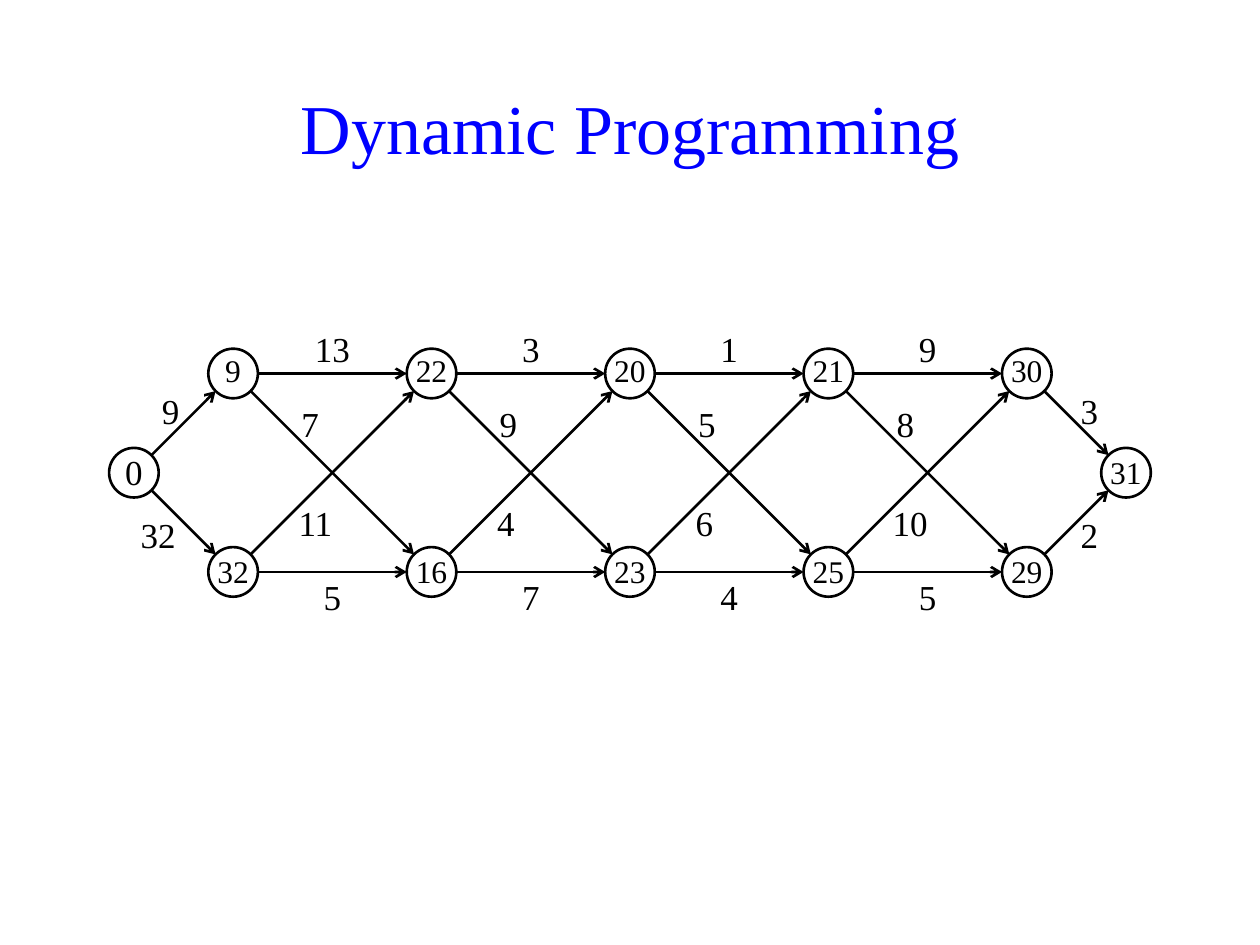
from math import hypot

from lxml.etree import SubElement
from pptx import Presentation
from pptx.dml.color import RGBColor
from pptx.enum.shapes import MSO_CONNECTOR, MSO_SHAPE
from pptx.enum.text import MSO_ANCHOR, MSO_AUTO_SIZE, PP_ALIGN
from pptx.oxml.ns import qn
from pptx.util import Cm, Pt

TITLE = "Dynamic Programming"
START, END = "0", "31"
TOP_COSTS = ["9", "22", "20", "21", "30"]
BOTTOM_COSTS = ["32", "16", "23", "25", "29"]
# Edge weights between neighbouring columns
TOP_WEIGHTS = ["13", "3", "1", "9"]
DOWN_WEIGHTS = ["7", "9", "5", "8"]
UP_WEIGHTS = ["11", "4", "6", "10"]
BOTTOM_WEIGHTS = ["5", "7", "4", "5"]
# Weights at both ends: text, centre x, centre y
END_WEIGHTS = [("9", 3.44, 8.27), ("32", 3.19, 10.78),
               ("3", 21.96, 8.27), ("2", 21.96, 10.78)]

FONT, BLACK, WHITE, BLUE = "Times New Roman", "000000", "FFFFFF", "0000FF"
RADIUS, PITCH = 0.5, 4
FIRST_X, TOP_Y = 4.7, 7.53
BOTTOM_Y = TOP_Y + PITCH
MIDDLE_Y = TOP_Y + PITCH / 2


def color(hex_code):
    return RGBColor.from_string(hex_code)


def write(shape, text, size, hex_code=BLACK, align=PP_ALIGN.CENTER, **frame):
    tf = shape.text_frame
    for name, value in frame.items():
        setattr(tf, name, value)
    p = tf.paragraphs[0]
    p.alignment = align
    r = p.add_run()
    r.text = text
    for name, value in {"name": FONT, "size": Pt(size)}.items():
        setattr(r.font, name, value)
    r.font.color.rgb = color(hex_code)


def outline(shape):
    shape.line.color.rgb = color(BLACK)
    shape.line.width = Pt(1.5)


def box_around(x, y, size=1):
    return Cm(x - size / 2), Cm(y - size / 2), Cm(size), Cm(size)


def add_node(slide, text, center, size=18, bottom=0.05):
    sp = slide.shapes.add_shape(MSO_SHAPE.OVAL, *box_around(*center, 2 * RADIUS))
    sp.shadow.inherit = False
    sp.fill.solid()
    sp.fill.fore_color.rgb = color(WHITE)
    outline(sp)
    write(sp, text, size, word_wrap=False, vertical_anchor=MSO_ANCHOR.MIDDLE,
          margin_top=0, margin_bottom=Cm(bottom))


def add_edge(slide, start, end):
    """Draw an arrow from the rim of one node to the rim of another."""
    (x1, y1), (x2, y2) = start, end
    length = hypot(x2 - x1, y2 - y1)
    dx, dy = RADIUS * (x2 - x1) / length, RADIUS * (y2 - y1) / length
    line = slide.shapes.add_connector(
        MSO_CONNECTOR.STRAIGHT,
        Cm(x1 + dx), Cm(y1 + dy), Cm(x2 - dx), Cm(y2 - dy))
    outline(line)
    SubElement(line.line._get_or_add_ln(), qn("a:tailEnd"), type="arrow")
    SubElement(line._element.spPr, qn("a:effectLst"))


def add_weight(slide, text, x, y, left=0, align=PP_ALIGN.CENTER):
    box = slide.shapes.add_textbox(*box_around(x, y))
    write(box, text, 20, align=align, word_wrap=False,
          vertical_anchor=MSO_ANCHOR.MIDDLE, margin_left=Cm(left),
          margin_right=0, margin_top=0, margin_bottom=0)


def main():
    prs = Presentation()
    prs.slide_width, prs.slide_height = Cm(25.4), Cm(19.05)
    s = prs.slides.add_slide(prs.slide_layouts[5])

    title = s.shapes.title
    title.left, title.top, title.width, title.height = Cm(1.7), Cm(0.53), Cm(22), Cm(3)
    write(title, TITLE, 40, BLUE, vertical_anchor=MSO_ANCHOR.BOTTOM,
          auto_size=MSO_AUTO_SIZE.NONE)

    columns = [FIRST_X + PITCH * i for i in range(len(TOP_COSTS))]
    top = [(x, TOP_Y) for x in columns]
    bottom = [(x, BOTTOM_Y) for x in columns]
    start = (columns[0] - PITCH / 2, MIDDLE_Y)
    end = (columns[-1] + PITCH / 2, MIDDLE_Y)

    add_node(s, START, start, size=20)
    add_node(s, END, end)
    for row, costs, margin in ((top, TOP_COSTS, 0.13), (bottom, BOTTOM_COSTS, 0.05)):
        for center, cost in zip(row, costs):
            add_node(s, cost, center, bottom=margin)
        add_edge(s, start, row[0])
        add_edge(s, row[-1], end)
        for other in (top, bottom):
            for here, there in zip(row, other[1:]):
                add_edge(s, here, there)

    weights = zip(columns, TOP_WEIGHTS, DOWN_WEIGHTS, UP_WEIGHTS, BOTTOM_WEIGHTS)
    for x, along_top, down, up, along_bottom in weights:
        add_weight(s, along_top, x + 2, TOP_Y - 0.5)
        add_weight(s, down, x + 1.5, TOP_Y + 1, left=0.1)
        add_weight(s, up, x + 1.5, BOTTOM_Y - 1,
                   align=PP_ALIGN.RIGHT if len(up) > 1 else PP_ALIGN.CENTER)
        add_weight(s, along_bottom, x + 2, BOTTOM_Y + 0.5)
    for text, x, y in END_WEIGHTS:
        add_weight(s, text, x, y)

    prs.save("out.pptx")


if __name__ == "__main__":
    main()
